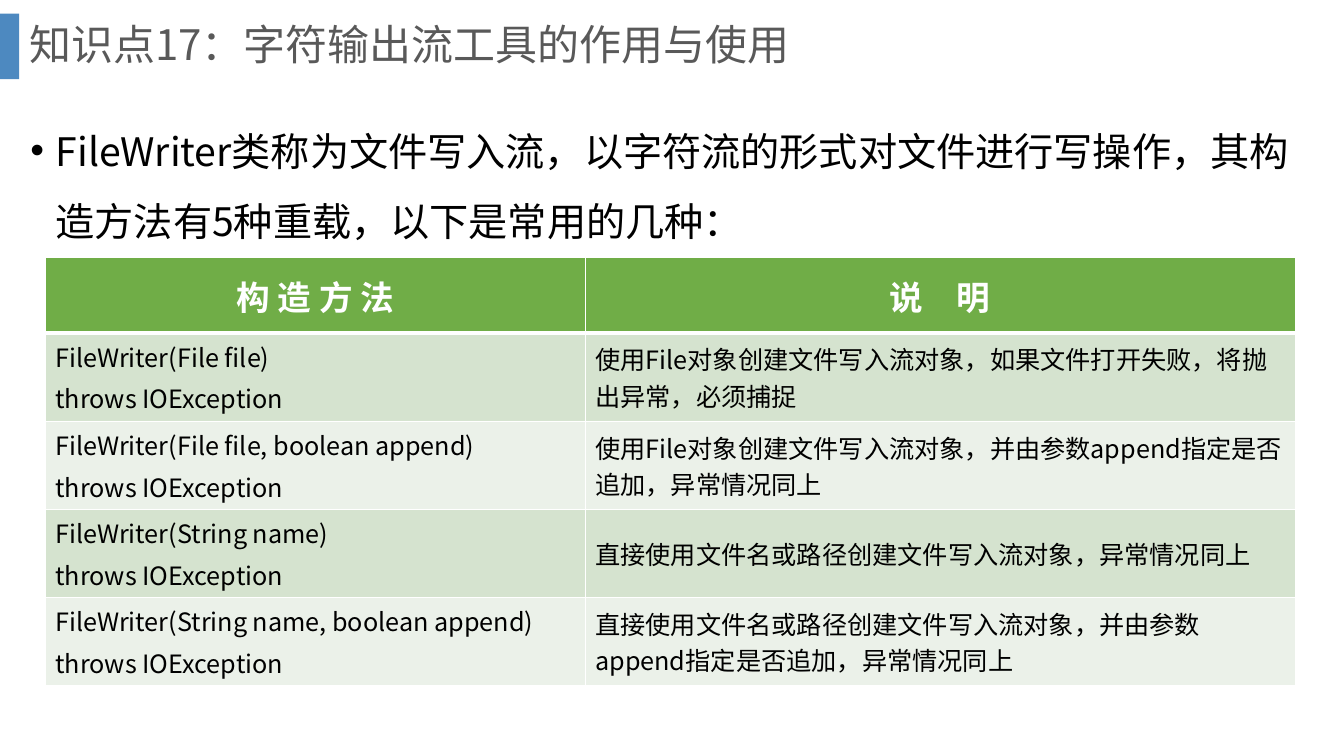
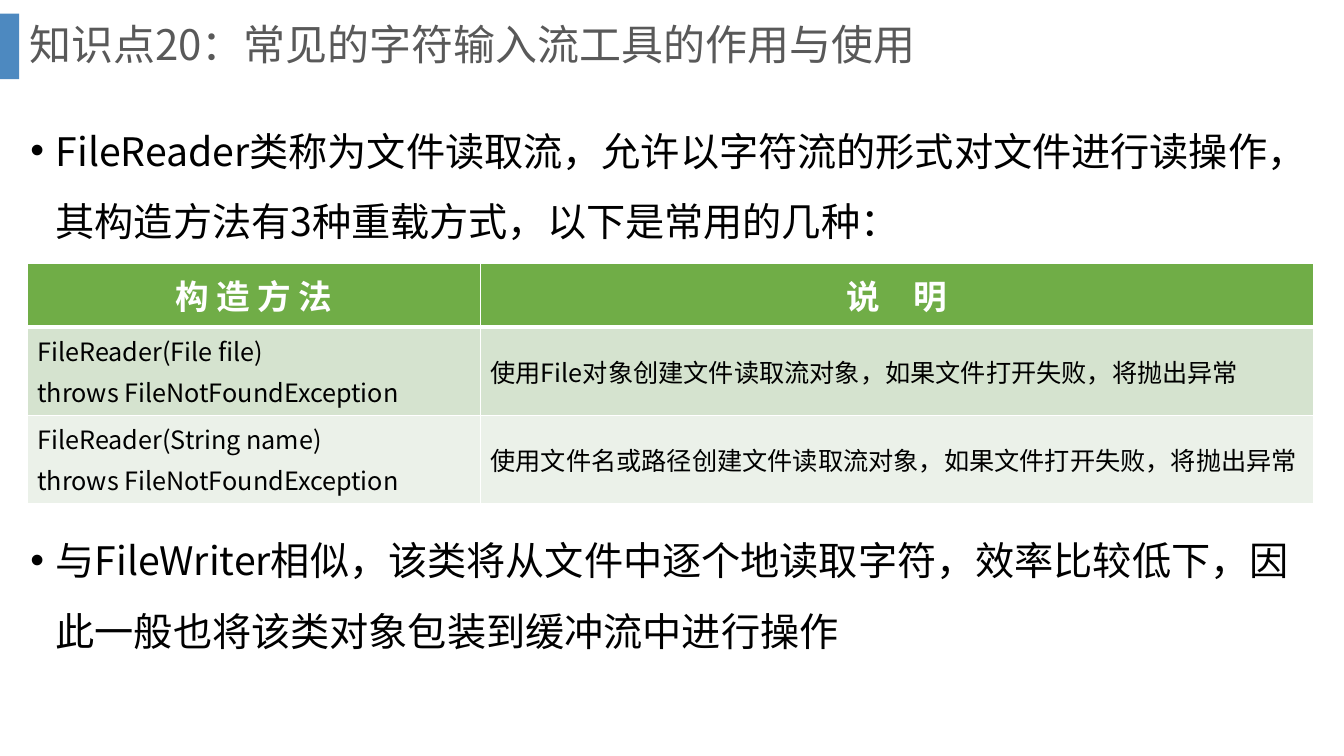
from dataclasses import dataclass

from lxml import etree
from pptx import Presentation
from pptx import util as u
from pptx.dml.color import RGBColor
from pptx.enum import shapes, text
from pptx.oxml.ns import qn

Pt = u.Pt


@dataclass(frozen=True)
class Theme:
    font: str = "Noto Sans CJK SC"
    accent: str = "2E75B6"
    title: str = "595959"
    ink: str = "000000"
    white: str = "FFFFFF"
    header: str = "70AD47"
    stripes: tuple = ("D5E3CF", "EBF1E9")
    title_size: int = 30
    body_size: int = 28
    header_size: int = 24
    cell_size: int = 18
    body_pitch: float = 50.6


T = Theme()
TITLE_ONLY = 5
TITLE_BOX = (13.7, 0, 911.5, 67)
BAND_BOX = (0, 9.7, 13.7, 46.8)
BULLET_X, BULLET_W, BULLET_H = 14.7, 928.8, 112
BULLET_TOPS = (70.6, 363)
HEADINGS = ("构 造 方 法", "说　明")
ROW_HEIGHT = 62.9


def rgb(color):
    return RGBColor.from_string(color)


def add_run(p, words, size, color, bold=False):
    r = p.add_run()
    r.text = words
    f = r.font
    f.size, f.bold = Pt(size), bold
    f.color.rgb = rgb(color)
    f.name = T.font
    # East Asian typeface follows the Latin one
    etree.SubElement(f._element, qn("a:ea"), typeface=T.font)


def add_band(s, box):
    sp = s.shapes.add_shape(shapes.MSO_SHAPE.RECTANGLE, *map(Pt, box))
    sp.shadow.inherit = False
    sp.fill.solid()
    sp.fill.fore_color.rgb = rgb(T.accent)
    sp.line.fill.background()
    color = sp.element.find(".//" + qn("a:srgbClr"))
    etree.SubElement(color, qn("a:alpha"), val="85000")


def add_title(s, box, words):
    sp = s.shapes.title
    sp.left, sp.top, sp.width, sp.height = map(Pt, box)
    tf = sp.text_frame
    tf.auto_size = text.MSO_AUTO_SIZE.NONE
    tf.vertical_anchor = text.MSO_ANCHOR.MIDDLE
    p = tf.paragraphs[0]
    p.alignment = text.PP_ALIGN.LEFT
    p.line_spacing = 0.9
    add_run(p, words, T.title_size, T.title)


def add_bullet(s, box, words):
    tf = s.shapes.add_textbox(*map(Pt, box)).text_frame
    tf.word_wrap = True
    tf.margin_top = Pt(3)
    p = tf.paragraphs[0]
    p.line_spacing = Pt(T.body_pitch)
    pPr = p._p.get_or_add_pPr()
    pPr.set("marL", str(Pt(18)))
    pPr.set("indent", str(Pt(-18)))
    etree.SubElement(pPr, qn("a:buFont"), typeface="Arial")
    etree.SubElement(pPr, qn("a:buChar"), char="•")
    add_run(p, words, T.body_size, T.ink)


def set_borders(cell, top, bottom):
    tcPr = cell._tc.get_or_add_tcPr()
    for side, width in (("L", 1), ("R", 1), ("T", top), ("B", bottom)):
        ln = etree.SubElement(tcPr, qn("a:ln" + side), w=str(Pt(width)))
        fill = etree.SubElement(ln, qn("a:solidFill"))
        etree.SubElement(fill, qn("a:srgbClr"), val=T.white)


def fill_cell(cell, lines, row):
    head = row == 0
    set_borders(cell, 3 if row == 1 else 1, 3 if head else 1)
    cell.fill.solid()
    cell.fill.fore_color.rgb = rgb(T.header if head else T.stripes[(row - 1) % 2])
    cell.vertical_anchor = text.MSO_ANCHOR.MIDDLE
    size = T.header_size if head else T.cell_size
    tf = cell.text_frame
    for i, words in enumerate(lines):
        p = tf.add_paragraph() if i else tf.paragraphs[0]
        p.alignment = text.PP_ALIGN.CENTER if head else text.PP_ALIGN.LEFT
        p.space_before = Pt(size * 0.2)
        add_run(p, words, size, T.white if head else T.ink, head)


def add_methods(s, box, first_col, head_height, error, methods):
    """Table of constructors; methods are (signature, description) pairs."""
    x, y, w = box
    rows = [[(h,) for h in HEADINGS]]
    rows += [[(sig, "throws " + error), (note,)] for sig, note in methods]
    heights = [head_height] + [ROW_HEIGHT] * len(methods)
    frame = s.shapes.add_table(len(rows), 2, *map(Pt, (x, y, w, sum(heights))))
    tbl = frame.table
    tbl.horz_banding = False
    for col, width in zip(tbl.columns, (first_col, w - first_col)):
        col.width = Pt(width)
    for i, (cells, height) in enumerate(zip(rows, heights)):
        tbl.rows[i].height = Pt(height)
        for j, lines in enumerate(cells):
            fill_cell(tbl.cell(i, j), lines, i)


def add_topic(prs, title, bullets, table):
    """Slide with a title, a table, and a bullet above and maybe below it."""
    s = prs.slides.add_slide(prs.slide_layouts[TITLE_ONLY])
    add_band(s, BAND_BOX)
    add_title(s, TITLE_BOX, title)
    for top, words in zip(BULLET_TOPS, bullets):
        add_bullet(s, (BULLET_X, top, BULLET_W, BULLET_H), words)
    add_methods(s, **table)


def main():
    prs = Presentation()
    prs.slide_width, prs.slide_height = Pt(960), Pt(540)

    # Character output
    add_topic(
        prs,
        "知识点17：字符输出流工具的作用与使用",
        ["FileWriter类称为文件写入流，以字符流的形式对文件进行写操作，"
         "其构造方法有5种重载，以下是常用的几种："],
        dict(box=(32.4, 184, 892.8), first_col=385.6, head_height=54,
             error="IOException", methods=[
                 ("FileWriter(File file)",
                  "使用File对象创建文件写入流对象，如果文件打开失败，将抛出异常，必须捕捉"),
                 ("FileWriter(File file, boolean append)",
                  "使用File对象创建文件写入流对象，并由参数append指定是否追加，异常情况同上"),
                 ("FileWriter(String name)",
                  "直接使用文件名或路径创建文件写入流对象，异常情况同上"),
                 ("FileWriter(String name, boolean append)",
                  "直接使用文件名或路径创建文件写入流对象，并由参数append指定是否追加，异常情况同上"),
             ]))

    # Character input
    add_topic(
        prs,
        "知识点20：常见的字符输入流工具的作用与使用",
        ["FileReader类称为文件读取流，允许以字符流的形式对文件进行读操作，"
         "其构造方法有3种重载方式，以下是常用的几种：",
         "与FileWriter相似，该类将从文件中逐个地读取字符，效率比较低下，"
         "因此一般也将该类对象包装到缓冲流中进行操作"],
        dict(box=(19.6, 188.2, 918.7), first_col=323.6, head_height=45.5,
             error="FileNotFoundException", methods=[
                 ("FileReader(File file)",
                  "使用File对象创建文件读取流对象，如果文件打开失败，将抛出异常"),
                 ("FileReader(String name)",
                  "使用文件名或路径创建文件读取流对象，如果文件打开失败，将抛出异常"),
             ]))

    prs.save("out.pptx")


if __name__ == "__main__":
    main()
